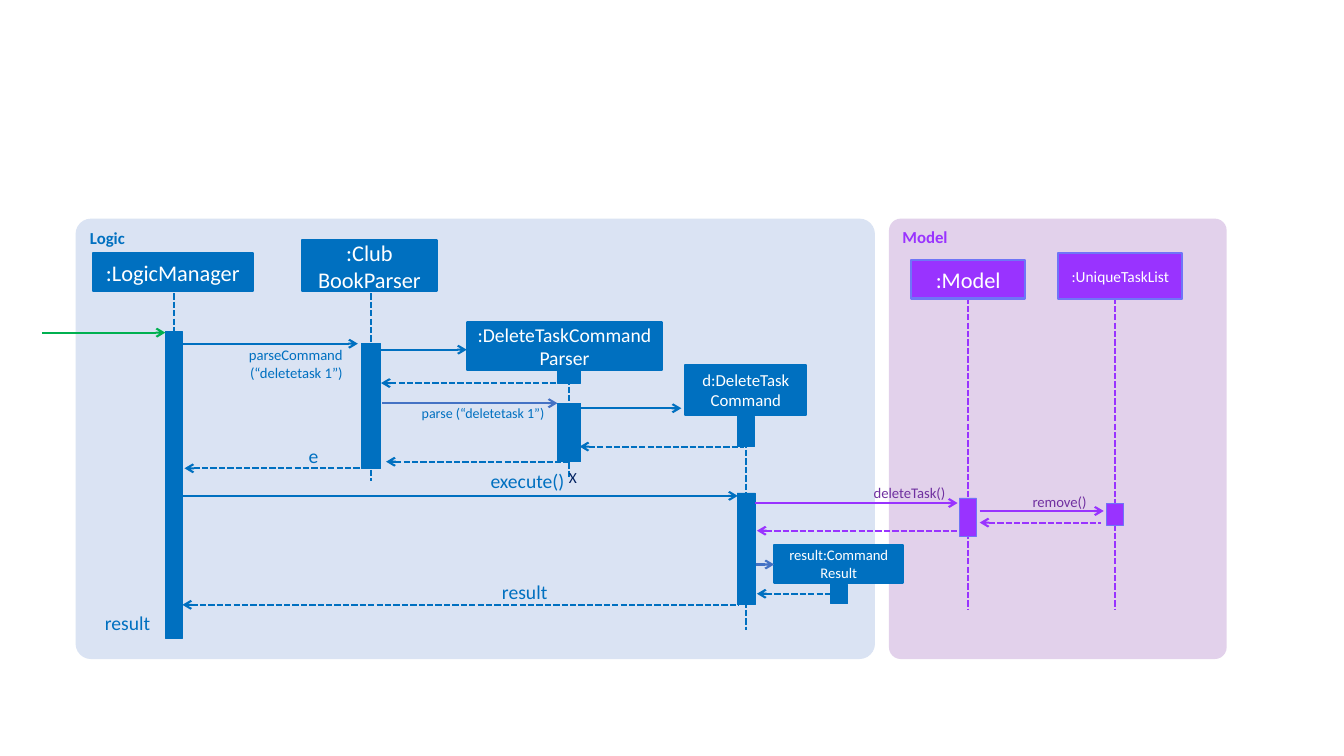
"""Build a sequence diagram of deleting a task, from the Logic part to the Model part."""
from dataclasses import dataclass

from lxml.etree import SubElement
from pptx import Presentation
from pptx.dml.color import RGBColor
from pptx.enum.dml import MSO_LINE
from pptx.enum.shapes import MSO_CONNECTOR, MSO_SHAPE
from pptx.enum.text import MSO_ANCHOR, MSO_AUTO_SIZE, PP_ALIGN
from pptx.oxml.ns import qn
from pptx.util import Pt


@dataclass(frozen=True)
class Theme:
    font: str = "Calibri"
    blue: str = "0070C0"
    accent: str = "4472C4"
    green: str = "00B050"
    purple: str = "9933FF"
    purple_edge: str = "6F75F7"
    purple_text: str = "7030A0"
    navy: str = "002060"
    white: str = "FFFFFF"
    logic_panel: str = "DAE3F3"
    model_panel: str = "E2D1EB"
    large: float = 16
    medium: float = 14
    normal: float = 12
    small: float = 11
    call: float = 10.5
    tiny: float = 10
    line: float = 1.5
    thin: float = 0.5


class SequenceDiagram:
    def __init__(self, slide, theme):
        self.slide = slide
        self.theme = theme

    def add_text(self, frame, lines, size, color, align, bold=False):
        frame.word_wrap = True
        for index, line in enumerate(lines):
            para = frame.paragraphs[0] if index == 0 else frame.add_paragraph()
            para.alignment = align
            for part_index, part in enumerate(line.split("\n")):
                if part_index:
                    para.add_line_break()
                span = para.add_run()
                span.text = part
                span.font.name = self.theme.font
                span.font.size = Pt(size)
                span.font.bold = bold
                span.font.color.rgb = RGBColor.from_string(color)

    def shape(self, kind, left, top, width, height, fill, edge=None, weight=0):
        box = self.slide.shapes.add_shape(kind, Pt(left), Pt(top), Pt(width), Pt(height))
        box.shadow.inherit = False
        box.fill.solid()
        box.fill.fore_color.rgb = RGBColor.from_string(fill)
        if edge:
            box.line.color.rgb = RGBColor.from_string(edge)
            box.line.width = Pt(weight)
        else:
            box.line.fill.background()
        return box

    def panel(self, name, left, width, fill, color):
        box = self.shape(MSO_SHAPE.ROUNDED_RECTANGLE, left, 156.2, width, 314.6, fill)
        box.adjustments[0] = 0.035
        box.text_frame.vertical_anchor = MSO_ANCHOR.TOP
        self.add_text(box.text_frame, [name], self.theme.normal, color, PP_ALIGN.LEFT, bold=True)

    def colors(self, in_model):
        theme = self.theme
        return (theme.purple, theme.purple_edge) if in_model else (theme.blue, theme.blue)

    def participant(self, lines, left, top, width, height, size, in_model=False):
        box = self.shape(MSO_SHAPE.RECTANGLE, left, top, width, height,
                         *self.colors(in_model), self.theme.line)
        frame = box.text_frame
        frame.margin_left = frame.margin_right = Pt(5)
        frame.vertical_anchor = MSO_ANCHOR.MIDDLE
        self.add_text(frame, lines, size, self.theme.white, PP_ALIGN.CENTER)

    def activation(self, center, top, width, height, in_model=False):
        self.shape(MSO_SHAPE.RECTANGLE, center - width / 2, top, width, height,
                   *self.colors(in_model), self.theme.thin)

    def line(self, start, end, color, dashed=False, arrow=None):
        points = [Pt(value) for value in (*start, *end)]
        connector = self.slide.shapes.add_connector(MSO_CONNECTOR.STRAIGHT, *points)
        connector.line.color.rgb = RGBColor.from_string(color)
        connector.line.width = Pt(self.theme.line)
        if dashed:
            connector.line.dash_style = MSO_LINE.SQUARE_DOT
        properties = connector._element.spPr
        if arrow:
            SubElement(properties.find(qn("a:ln")), qn(f"a:{arrow}"), type="arrow")
        SubElement(properties, qn("a:effectLst"))

    def lifeline(self, center, top, bottom, color):
        self.line((center, top), (center, bottom), color, dashed=True)

    def message(self, left, right, height, color):
        self.line((left, height), (right, height), color, arrow="tailEnd")

    def reply(self, left, right, height, color):
        self.line((left, height), (right, height), color, dashed=True, arrow="headEnd")

    def label(self, lines, left, top, width, height, size, color, align=PP_ALIGN.RIGHT):
        box = self.slide.shapes.add_textbox(Pt(left), Pt(top), Pt(width), Pt(height))
        frame = box.text_frame
        frame.margin_left = frame.margin_right = frame.margin_top = frame.margin_bottom = 0
        frame.auto_size = MSO_AUTO_SIZE.SHAPE_TO_FIT_TEXT
        self.add_text(frame, lines, size, color, align)


deck = Presentation()
deck.slide_width, deck.slide_height = Pt(960), Pt(540)
theme = Theme()
diagram = SequenceDiagram(deck.slides.add_slide(deck.slide_layouts[6]), theme)
blue, purple = theme.blue, theme.purple
manager, parser, task_parser, command, result, model, task_list = (
    124, 265, 406.6, 533, 599.4, 691.4, 796.6)

diagram.panel("Model", 635, 241.2, theme.model_panel, purple)
diagram.panel("Logic", 54, 571, theme.logic_panel, blue)

for center, top, bottom, color in [
    (manager, 209.5, 414, blue), (parser, 209.5, 343.4, blue),
    (task_parser, 264.2, 342, blue), (command, 297.4, 450, blue),
    (model, 212.4, 435.6, purple), (task_list, 212.4, 435.6, purple),
]:
    diagram.lifeline(center, top, bottom, color)

for center, top, width, height in [
    (manager, 236.9, 12.2, 218.9), (parser, 245.5, 13.7, 89.3),
    (task_parser, 264.2, 16.6, 9.4), (task_parser, 288, 16.6, 41.8),
    (command, 297.4, 12.2, 21.6), (command, 352.1, 13, 79.9),
    (result, 417.6, 12.2, 13.7),
]:
    diagram.activation(center, top, width, height)
diagram.activation(model, 355.7, 12.2, 27.4, in_model=True)
diagram.activation(task_list, 359.3, 12.2, 15.8, in_model=True)

for participant in [
    ([":LogicManager"], 66.2, 180.7, 114.5, 27.4, theme.large),
    ([":Club", "BookParser"], 216, 171.4, 95.8, 36.7, theme.large),
    ([":DeleteTaskCommand", "Parser"], 333.4, 230.4, 139.7, 33.8, theme.medium),
    (["d:DeleteTask\nCommand"], 489.6, 260.6, 86.4, 36, theme.normal),
    (["result:Command Result"], 553, 389.5, 92.2, 26.6, theme.call),
    ([":Model"], 650.9, 185.8, 81.4, 27.4, theme.large, True),
    ([":UniqueTaskList"], 756, 180.7, 88.6, 33.1, theme.small, True),
]:
    diagram.participant(*participant)

for left, right, height, color in [
    (30.2, 118.1, 237.6, theme.green), (130.3, 255.6, 245.5, blue),
    (268.6, 333.4, 249.8, blue), (272.9, 398.2, 288, theme.accent),
    (414, 486.7, 291.6, blue), (130.3, 527, 354.2, blue),
    (539.3, 684, 359.3, purple), (699.8, 788.4, 365, purple),
    (540, 553, 403.2, theme.accent),
]:
    diagram.message(left, right, height, color)

for left, right, height, color in [
    (272.2, 398.2, 273.6, blue), (414, 531.4, 319, blue),
    (275.8, 406.8, 329.8, blue), (131.8, 257, 334.5, blue),
    (699.8, 786.2, 373.3, purple), (540.7, 685.4, 379.1, purple),
    (540.7, 593.3, 424.1, blue), (130.3, 527.8, 432, blue),
]:
    diagram.reply(left, right, height, color)

for label in [
    (["parseCommand", "(“deletetask 1”)"], 132.5, 247, 112.3, 25.2, theme.call, blue),
    (["parse (“deletetask 1”)"], 276.5, 288.7, 112.3, 12.2, theme.tiny, blue),
    (["e"], 210.2, 316.8, 17.3, 17.3, theme.medium, blue),
    (["execute()"], 335.5, 334.8, 67.7, 17.3, theme.medium, blue),
    (["deleteTask()"], 563, 345.6, 112.3, 13, theme.call, theme.purple_text),
    (["remove()"], 730.1, 352.1, 46.1, 13, theme.call, theme.purple_text),
    (["result"], 342, 414, 49, 17.3, theme.medium, blue),
    (["result"], 47.5, 436.3, 59.8, 17.3, theme.medium, blue),
    (["X"], 396, 334.1, 26.6, 13.7, theme.small, theme.navy, PP_ALIGN.CENTER),
]:
    diagram.label(*label)

deck.save("out.pptx")
